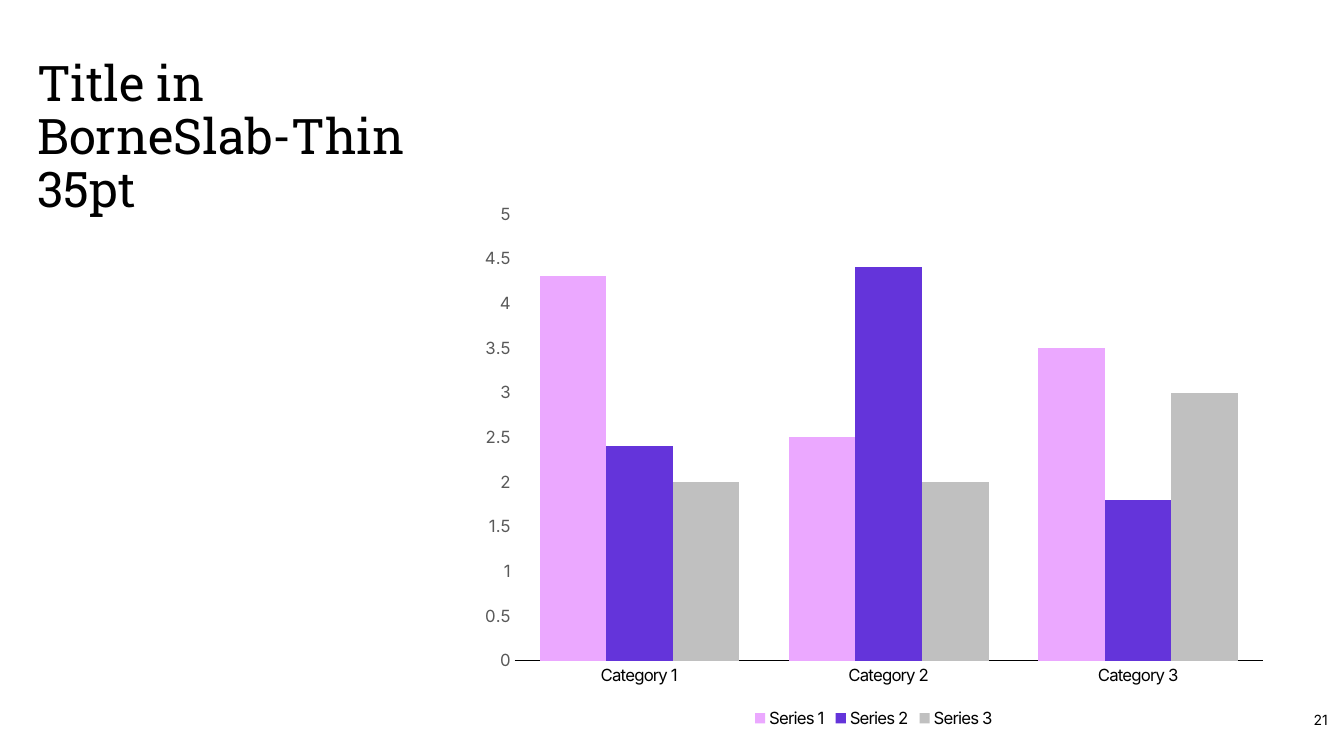
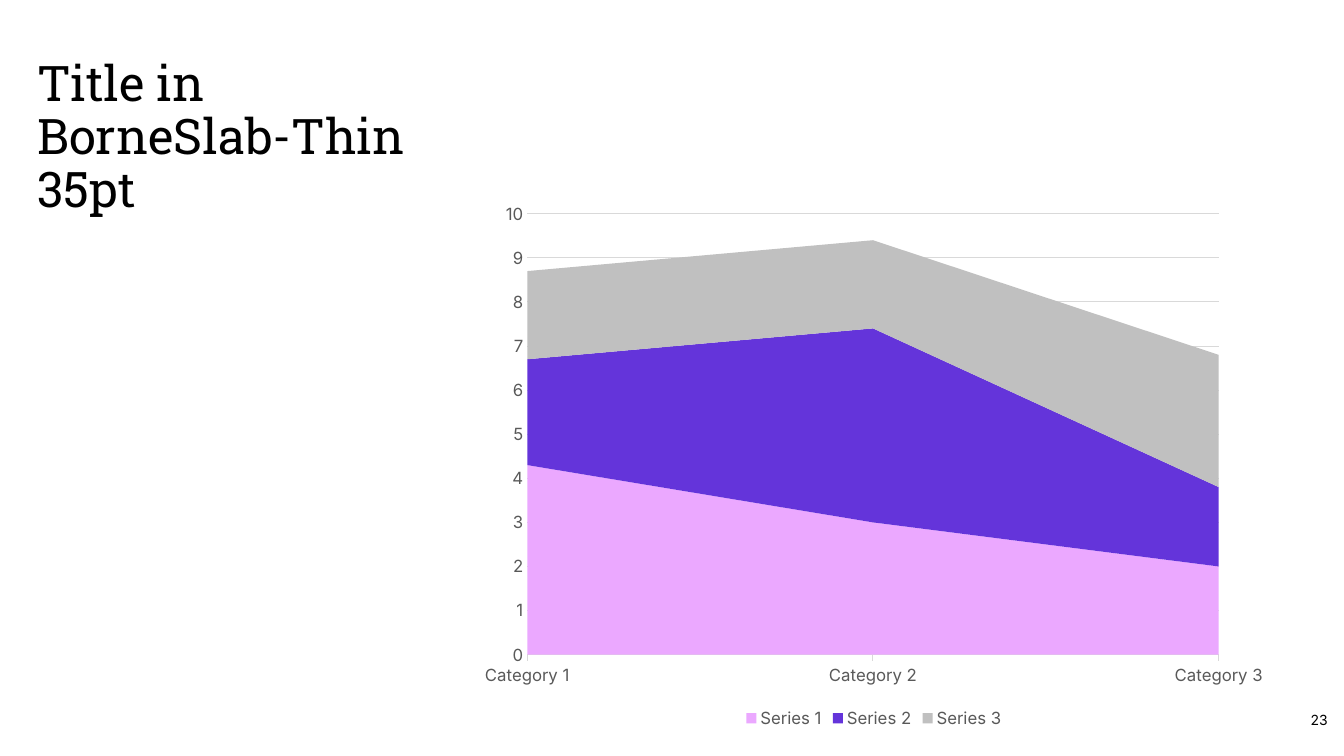
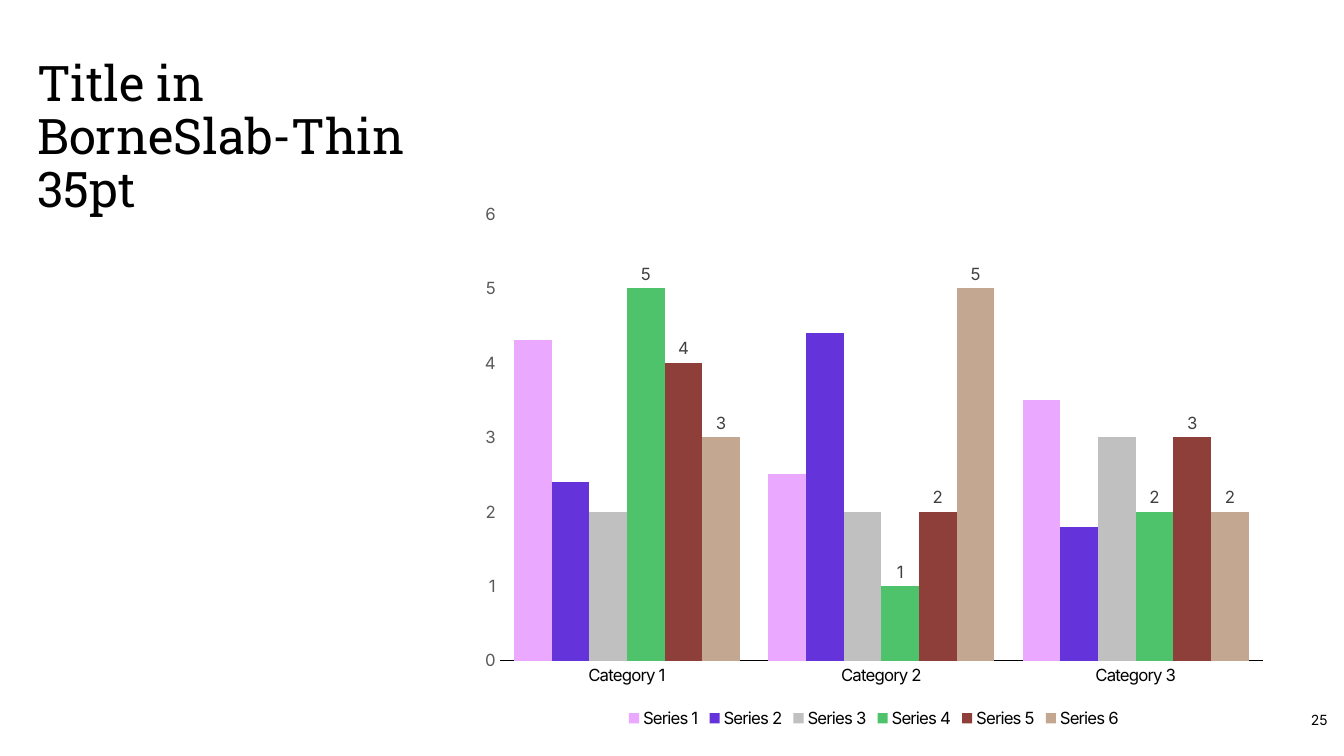
from dataclasses import dataclass
from typing import Any

from pptx import Presentation
from pptx import util as u
from pptx.chart.data import CategoryChartData
from pptx.dml.color import RGBColor
from pptx.enum import chart as charts, text
from pptx.oxml import ns

COLOURS = {
    "black": "000000", "axis_grey": "595959", "grid_grey": "D9D9D9", "label_grey": "404040",
    "pink": "EBA8FF", "purple": "6434DA", "silver": "C0C0C0",
    "green": "4FC36B", "brown": "8F3F39", "tan": "C4A791",
}
TITLE = "Title in BorneSlab-Thin 35pt"
CATEGORIES = ["Category 1", "Category 2", "Category 3"]
SERIES_COLOURS = ["pink", "purple", "silver", "green", "brown", "tan"]

TITLE_FONT = {"name": "Roboto Slab", "size": u.Pt(35), "bold": False}
NUMBER_FONT = {"name": "Inter", "size": u.Pt(10)}
CHART_FONT = {"name": "Inter", "size": u.Pt(12), "bold": False}
FRAME = {"margin_left": 0, "margin_top": 0, "margin_right": 0, "margin_bottom": 0,
         "word_wrap": True, "auto_size": text.MSO_AUTO_SIZE.NONE}
TIGHT_SPACING = "-60"  # hundredths of a point


@dataclass(frozen=True)
class Box:
    left: float
    top: float
    width: float
    height: float

    def lengths(self) -> list[u.Length]:
        return [u.Pt(value) for value in (self.left, self.top, self.width, self.height)]


@dataclass(frozen=True)
class ChartSlide:
    number: str
    chart_type: charts.XL_CHART_TYPE
    values: list[list[float]]
    maximum: float
    unit: float
    labelled_from: int = 3  # series from this index on show their values


TITLE_BOX = Box(26.6, 42.5, 265, 435)
NUMBER_BOX = Box(672, 499.7, 276.4, 28.8)
CHART_BOX = Box(334.8, 137.5, 578.9, 385.9)

COLUMN = charts.XL_CHART_TYPE.COLUMN_CLUSTERED
AREA = charts.XL_CHART_TYPE.AREA_STACKED
COLUMN_VALUES = [[4.3, 2.5, 3.5], [2.4, 4.4, 1.8], [2, 2, 3]]
SLIDES = [
    ChartSlide("21", COLUMN, COLUMN_VALUES, 5, 0.5),
    ChartSlide("23", AREA, [[4.3, 3, 2], *COLUMN_VALUES[1:]], 10, 1),
    ChartSlide("25", COLUMN, [*COLUMN_VALUES, [5, 1, 2], [4, 2, 3], [3, 5, 2]], 6, 1),
]


def colour(name: str) -> RGBColor:
    return RGBColor.from_string(COLOURS[name])


def set_values(target: Any, values: dict[str, Any]) -> None:
    for name, value in values.items():
        setattr(target, name, value)


def format_font(font: Any, values: dict[str, Any], colour_name: str) -> None:
    set_values(font, values)
    font.color.rgb = colour(colour_name)


def format_line(line: Any, colour_name: str) -> None:
    line.color.rgb = colour(colour_name)
    line.width = u.Pt(0.75)


def write_text(shape: Any, content: str, font: dict[str, Any], anchor: Any,
               paragraph_values: dict[str, Any]) -> None:
    set_values(shape.text_frame, {**FRAME, "vertical_anchor": anchor})
    paragraph = shape.text_frame.paragraphs[0]
    set_values(paragraph, paragraph_values)
    run = paragraph.add_run()
    run.text = content
    format_font(run.font, font, "black")


def add_title(slide: Any) -> None:
    shape = slide.shapes.title
    set_values(shape, dict(zip(("left", "top", "width", "height"), TITLE_BOX.lengths())))
    write_text(shape, TITLE, TITLE_FONT, text.MSO_ANCHOR.TOP,
               {"alignment": text.PP_ALIGN.LEFT, "line_spacing": 0.9})


def add_number(slide: Any, number: str) -> None:
    shape = slide.shapes.add_textbox(*NUMBER_BOX.lengths())
    write_text(shape, number, NUMBER_FONT, text.MSO_ANCHOR.MIDDLE,
               {"alignment": text.PP_ALIGN.RIGHT})


def format_axes(chart: Any, content: ChartSlide) -> None:
    is_area = content.chart_type == AREA
    text_colour = "axis_grey" if is_area else "black"
    ticks = charts.XL_TICK_MARK

    category_axis = chart.category_axis
    set_values(category_axis, {
        "major_tick_mark": ticks.OUTSIDE if is_area else ticks.NONE,
        "minor_tick_mark": ticks.NONE, "has_major_gridlines": False})
    format_line(category_axis.format.line, "grid_grey" if is_area else "black")

    value_axis = chart.value_axis
    set_values(value_axis, {
        "major_tick_mark": ticks.NONE, "minor_tick_mark": ticks.NONE,
        "has_major_gridlines": is_area, "minimum_scale": 0,
        "maximum_scale": content.maximum, "major_unit": content.unit})
    value_axis.format.line.fill.background()
    format_font(value_axis.tick_labels.font, CHART_FONT, "axis_grey")
    if is_area:
        format_line(value_axis.major_gridlines.format.line, "grid_grey")
        # The areas reach both edges of the plot
        value_axis._element.find(ns.qn("c:crossBetween")).set("val", "midCat")

    # Legend and category names share one style
    chart.has_legend = True
    set_values(chart.legend, {"position": charts.XL_LEGEND_POSITION.BOTTOM,
                              "include_in_layout": False})
    for font in (category_axis.tick_labels.font, chart.legend.font):
        format_font(font, CHART_FONT, text_colour)
        if not is_area:
            font._element.set("spc", TIGHT_SPACING)


def add_chart(slide: Any, content: ChartSlide) -> None:
    data = CategoryChartData()
    data.categories = CATEGORIES
    for index, values in enumerate(content.values, start=1):
        data.add_series(f"Series {index}", values)
    frame = slide.shapes.add_chart(content.chart_type, *CHART_BOX.lengths(), data)
    chart = frame.chart
    chart.has_title = False
    format_font(chart.font, NUMBER_FONT, "black")
    format_axes(chart, content)

    plot = chart.plots[0]
    plot.vary_by_categories = False
    if content.chart_type == COLUMN:
        set_values(plot, {"gap_width": 75, "overlap": 0})

    for index, (series, name) in enumerate(zip(plot.series, SERIES_COLOURS)):
        series.format.fill.solid()
        series.format.fill.fore_color.rgb = colour(name)
        if index >= content.labelled_from:
            labels = series.data_labels
            set_values(labels, {"show_value": True,
                                "position": charts.XL_LABEL_POSITION.OUTSIDE_END})
            format_font(labels.font, CHART_FONT, "label_grey")


def main() -> None:
    presentation = Presentation()
    set_values(presentation, {"slide_width": u.Pt(960), "slide_height": u.Pt(540)})
    title_only = presentation.slide_layouts.get_by_name("Title Only")
    for content in SLIDES:
        slide = presentation.slides.add_slide(title_only)
        add_title(slide)
        add_number(slide, content.number)
        add_chart(slide, content)
    presentation.save("out.pptx")


if __name__ == "__main__":
    main()
